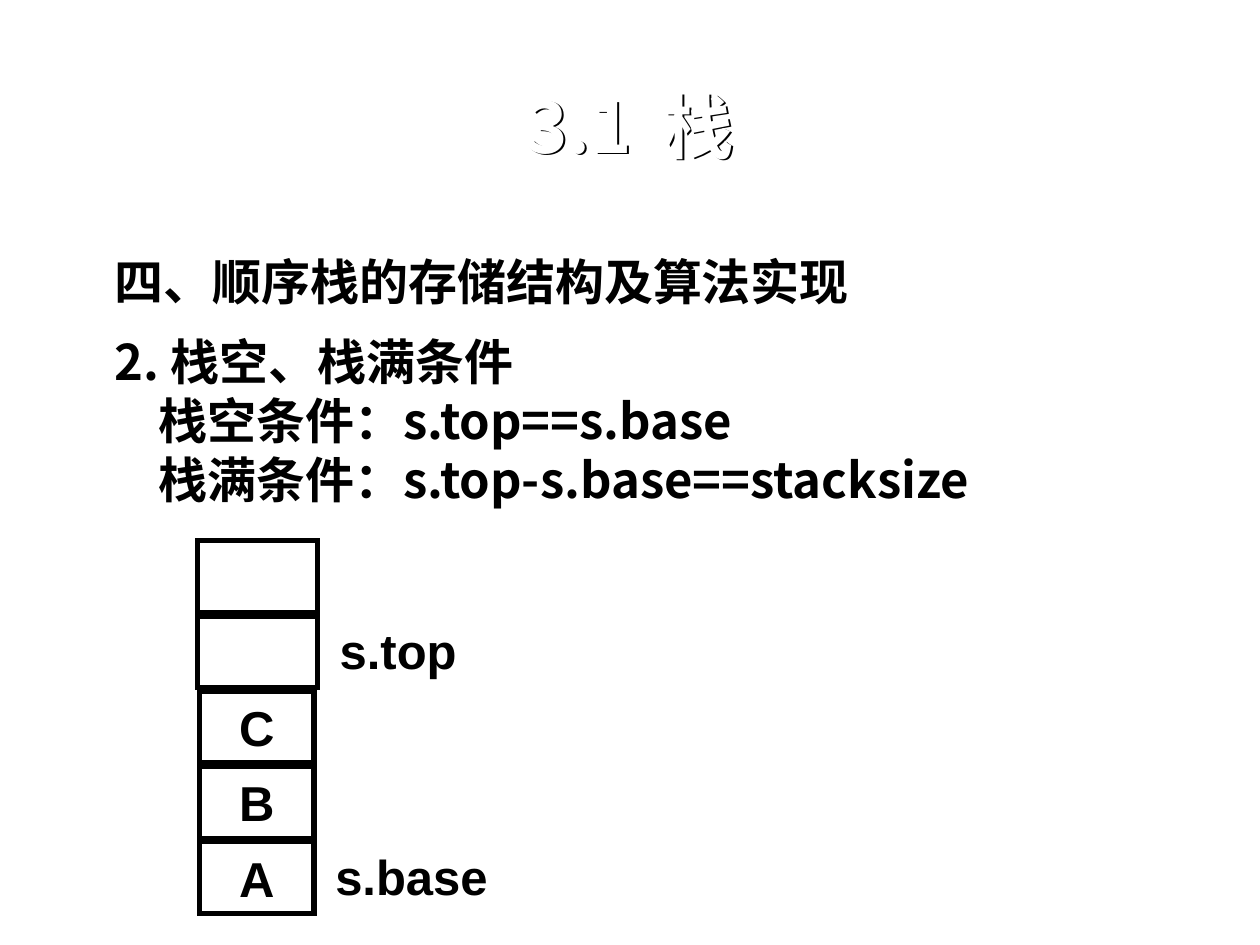
"""Build the slide on the empty and full conditions of a sequential stack."""
from lxml import etree
from pptx import Presentation
from pptx.dml.color import RGBColor
from pptx.enum.shapes import MSO_SHAPE
from pptx.enum.text import MSO_ANCHOR, PP_ALIGN
from pptx.oxml.ns import qn
from pptx.util import Pt

BLACK = RGBColor(0, 0, 0)
WHITE = RGBColor(255, 255, 255)
RECT = MSO_SHAPE.RECTANGLE
MIDDLE = MSO_ANCHOR.MIDDLE
CENTER = PP_ALIGN.CENTER
LATIN = "Arial"
CJK = "Noto Sans CJK SC"


class StackSlide:
    def __init__(self, prs):
        self.s = prs.slides.add_slide(prs.slide_layouts[6])
        self.size = 28

    def style(self, font, name, color=BLACK, size=None):
        font.name = name
        font.size = Pt(size or self.size)
        font.bold = True
        font.color.rgb = color

    def box(self, x, y, w, h):
        sp = self.s.shapes.add_textbox(Pt(x), Pt(y), Pt(w), Pt(h))
        sp.text_frame.word_wrap = True
        return sp

    def title(self, number, word, x, y, w, h):
        sp = self.box(x, y, w, h)
        self.shadow(sp)
        tf = sp.text_frame
        tf.vertical_anchor = MIDDLE
        p = tf.paragraphs[0]
        p.alignment = CENTER
        p.line_spacing = 0.9
        for text, name in ((number, CJK), (" ", CJK), (word, LATIN)):
            r = p.add_run()
            r.text = text
            self.style(r.font, name, WHITE, 40)
        p.runs[1].font._element.set("spc", "900")

    def shadow(self, sp):
        effects = etree.SubElement(sp._element.spPr, qn("a:effectLst"))
        outer = etree.SubElement(effects, qn("a:outerShdw"), dist=str(Pt(1.4)), dir="2700000")
        etree.SubElement(outer, qn("a:srgbClr"), val=str(BLACK))

    def body(self, lines, x, y, w, h):
        tf = self.box(x, y, w, h).text_frame
        for i, (text, name, indent, before) in enumerate(lines):
            p = tf.paragraphs[0] if i == 0 else tf.add_paragraph()
            p.text = text
            if before:
                p.space_before = Pt(before)
            p._p.get_or_add_pPr().set("marL", str(Pt(indent)))
            self.style(p.font, name)

    def cell(self, text, x, y, w, h):
        sp = self.s.shapes.add_shape(RECT, Pt(x), Pt(y), Pt(w), Pt(h))
        sp.shadow.inherit = False
        sp.fill.solid()
        sp.fill.fore_color.rgb = WHITE
        sp.line.color.rgb = BLACK
        sp.line.width = Pt(3)
        etree.SubElement(sp._element.spPr.find(qn("a:ln")), qn("a:miter"), lim="800000")
        if text:
            tf = sp.text_frame
            tf.vertical_anchor = MIDDLE
            p = tf.paragraphs[0]
            p.text = text
            p.alignment = CENTER
            self.style(p.font, LATIN)

    def label(self, text, x, y, w, h):
        p = self.box(x, y, w, h).text_frame.paragraphs[0]
        p.text = text
        self.style(p.font, LATIN)


def main():
    prs = Presentation()
    prs.slide_width, prs.slide_height = Pt(720), Pt(540)
    slide = StackSlide(prs)
    slide.title("3.1", "栈", 54, 29.5, 612, 90)
    slide.body([
        ("四、顺序栈的存储结构及算法实现", LATIN, 0, 0),
        ("2. 栈空、栈满条件", CJK, 0, 12.5),
        ("栈空条件：s.top==s.base", CJK, 25, 0),
        ("栈满条件：s.top-s.base==stacksize", CJK, 25, 0),
    ], 58.5, 140, 603, 154)
    top, pitch, height = 309, 43, 41
    for i, text in enumerate(("", "", "C", "B", "A")):
        x, w = (114, 65.5) if text else (113, 68.5)
        slide.cell(text, x, top + i * pitch, w, height)
    slide.label("s.top", 187, 351, 81.5, height)
    slide.label("s.base", 184.5, 480, 139.5, height)
    prs.save("out.pptx")


if __name__ == "__main__":
    main()
